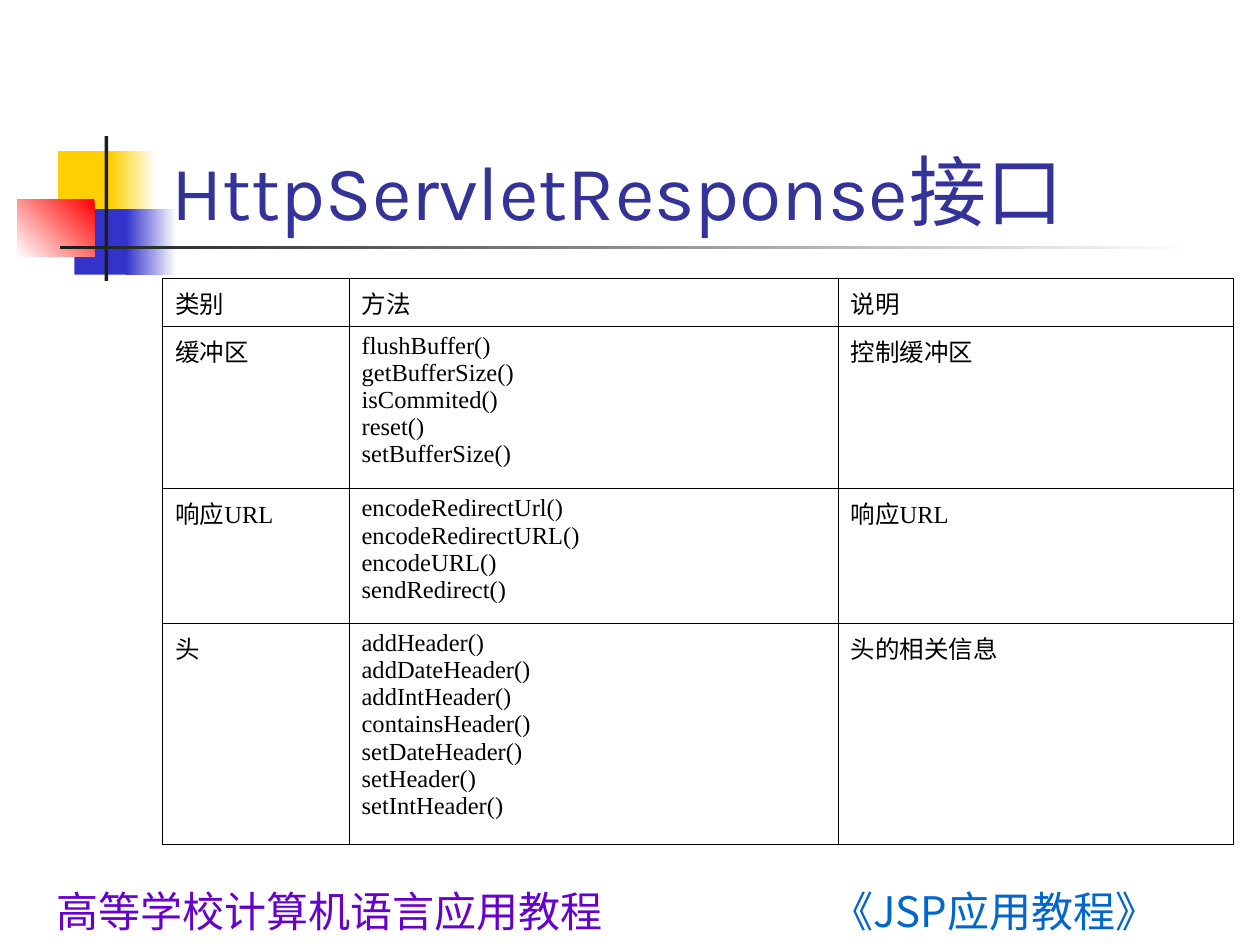
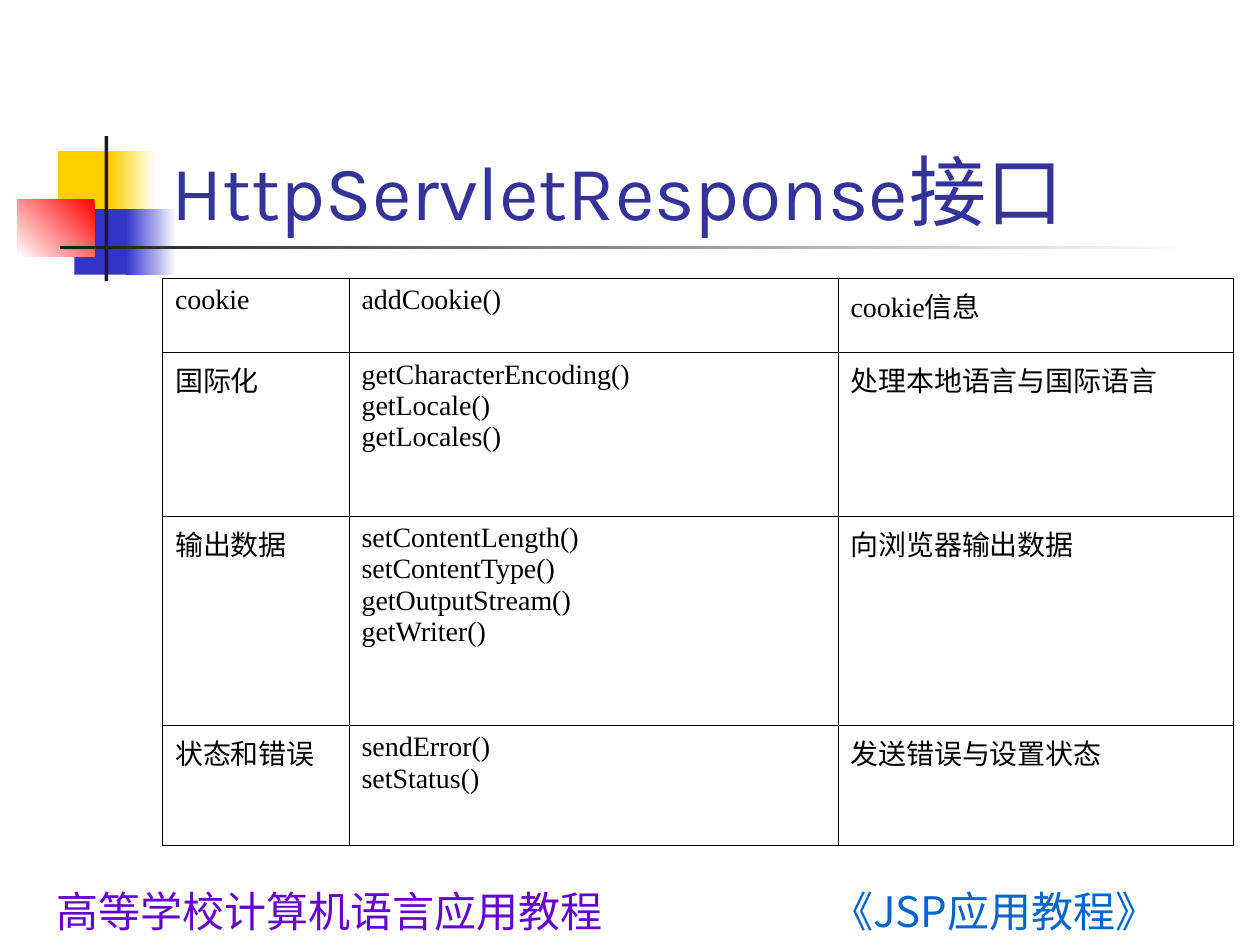
from dataclasses import dataclass

from lxml import etree
from pptx import Presentation
from pptx.dml.color import RGBColor
from pptx.enum.shapes import MSO_SHAPE
from pptx.enum.text import MSO_ANCHOR
from pptx.oxml.ns import qn
from pptx.util import Inches, Pt

RECTANGLE = MSO_SHAPE.RECTANGLE
ANCHOR_TOP = MSO_ANCHOR.TOP
ANCHOR_BOTTOM = MSO_ANCHOR.BOTTOM
BLANK_LAYOUT = 6


@dataclass(frozen=True)
class Theme:
    white: str = "FFFFFF"
    black: str = "000000"
    yellow: str = "FFCF01"
    blue: str = "3333CC"
    red: str = "FF0000"
    charcoal: str = "1C1C1C"
    title: str = "333399"
    book: str = "0066CC"
    book_outline: str = "99CCFF"
    series: tuple = ("6600CC", "CC00CC", 90)
    series_outline: str = "CC99FF"
    title_font: str = "Karla"
    table_font: str = "Times New Roman"
    chinese_font: str = "Noto Sans CJK SC"
    title_size: int = 44
    footer_size: int = 24
    border_width: float = 0.45


THEME = Theme()

# Left, top, width, height and fill of each part of the title ornament.
ORNAMENT = [
    (0.46, 1.2, 0.48, 0.52, THEME.yellow),
    (0.88, 1.2, 0.36, 0.52, (THEME.white, THEME.yellow, 180)),
    (0.59, 1.66, 0.46, 0.52, THEME.blue),
    (1, 1.66, 0.4, 0.52, (THEME.white, THEME.blue, 180)),
    (0.14, 1.58, 0.61, 0.46, (THEME.red, THEME.white, 135)),
    (0.83, 1.08, 0.03, 1.15, THEME.charcoal),
    (0.48, 1.95, 9, 0.03, (THEME.white, THEME.charcoal, 180)),
]

TITLE = "HttpServletResponse接口"
COLUMN_WIDTHS = [1.48, 3.88, 3.14]

BUFFER_METHODS = "flushBuffer()\ngetBufferSize()\nisCommited()\nreset()\nsetBufferSize()"
URL_METHODS = "encodeRedirectUrl()\nencodeRedirectURL()\nencodeURL()\nsendRedirect()"
HEADER_METHODS = (
    "addHeader()\naddDateHeader()\naddIntHeader()\ncontainsHeader()\n"
    "setDateHeader()\nsetHeader()\nsetIntHeader()"
)
LOCALE_METHODS = "getCharacterEncoding()\ngetLocale()\ngetLocales()"
OUTPUT_METHODS = "setContentLength()\nsetContentType()\ngetOutputStream()\ngetWriter()"

# Text size, row heights and rows of the table on each slide.
METHOD_TABLES = [
    (14, [0.38, 1.29, 1.07, 1.75], [
        ("类别", "方法", "说明"),
        ("缓冲区", BUFFER_METHODS, "控制缓冲区"),
        ("响应URL", URL_METHODS, "响应URL"),
        ("头", HEADER_METHODS, "头的相关信息"),
    ]),
    (16, [0.59, 1.3, 1.66, 0.95], [
        ("cookie", "addCookie()", "cookie信息"),
        ("国际化", LOCALE_METHODS, "处理本地语言与国际语言"),
        ("输出数据", OUTPUT_METHODS, "向浏览器输出数据"),
        ("状态和错误", "sendError()\nsetStatus()", "发送错误与设置状态"),
    ]),
]


def apply_fill(fill, paint):
    """Fill with a colour, or with a (start, end, clockwise angle) gradient."""
    if isinstance(paint, str):
        fill.solid()
        fill.fore_color.rgb = RGBColor.from_string(paint)
        return
    start, end, angle = paint
    fill.gradient()
    fill.gradient_angle = 360 - angle
    for stop, colour, position in zip(fill.gradient_stops, (start, end), (0, 1)):
        stop.color.rgb = RGBColor.from_string(colour)
        stop.position = position


def insert_line(properties, tag, colour, width, index):
    """Insert a solid line element, as used by text outlines and cell borders."""
    line = etree.Element(qn(tag), w=str(Pt(width)))
    solid = etree.SubElement(line, qn("a:solidFill"))
    etree.SubElement(solid, qn("a:srgbClr"), val=colour)
    properties.insert(index, line)


def write_text(text_frame, text, *, size, font, paint, outline=None, hanging=0):
    """Write one paragraph per line; outline is a (colour, width) pair."""
    text_frame.text = text
    for paragraph in text_frame.paragraphs:
        if hanging:
            paragraph_properties = paragraph._p.get_or_add_pPr()
            paragraph_properties.set("marL", str(Inches(hanging)))
            paragraph_properties.set("indent", str(-Inches(hanging)))
        for run in paragraph.runs:
            run.font.size = Pt(size)
            run.font.name = font
            apply_fill(run.font.fill, paint)
            run_properties = run._r.get_or_add_rPr()
            latin = run_properties.find(qn("a:latin"))
            east_asian = etree.Element(qn("a:ea"), typeface=THEME.chinese_font)
            latin.addnext(east_asian)
            if outline:
                insert_line(run_properties, "a:ln", *outline, index=0)


def add_text(slide, box, text, *, wrap=False, anchor=ANCHOR_TOP, **text_format):
    text_frame = slide.shapes.add_textbox(*map(Inches, box)).text_frame
    text_frame.word_wrap = wrap
    text_frame.vertical_anchor = anchor
    write_text(text_frame, text, **text_format)


def add_ornament(slide):
    for *box, paint in ORNAMENT:
        shape = slide.shapes.add_shape(RECTANGLE, *map(Inches, box))
        shape.shadow.inherit = False
        shape.line.fill.background()
        apply_fill(shape.fill, paint)


def add_footers(slide):
    footer_format = {"size": THEME.footer_size, "font": THEME.chinese_font}
    add_text(slide, (6.5, 6.98, 3.5, 0.28), "《JSP应用教程》", paint=THEME.book,
             outline=(THEME.book_outline, 1.5), **footer_format)
    add_text(slide, (0.35, 6.98, 5.04, 0.52), "高等学校计算机语言应用教程", paint=THEME.series,
             outline=(THEME.series_outline, 0.75), **footer_format)


def add_title(slide):
    add_text(slide, (1.26, 0.67, 8.52, 1.25), TITLE, wrap=True, anchor=ANCHOR_BOTTOM,
             size=THEME.title_size, font=THEME.title_font, paint=THEME.title)


def format_cell(cell):
    cell.fill.background()
    cell_properties = cell._tc.get_or_add_tcPr()
    for index, side in enumerate("LRTB"):
        insert_line(cell_properties, f"a:ln{side}", THEME.black, THEME.border_width, index)


def add_method_table(slide, size, row_heights, rows):
    box = (1.29, 2.21, sum(COLUMN_WIDTHS), sum(row_heights))
    frame = slide.shapes.add_table(len(rows), len(COLUMN_WIDTHS), *map(Inches, box))
    table = frame.table
    table.first_row = table.horz_banding = False
    for column, width in zip(table.columns, COLUMN_WIDTHS):
        column.width = Inches(width)
    for row, height, texts in zip(table.rows, row_heights, rows):
        row.height = Inches(height)
        for cell, text in zip(row.cells, texts):
            format_cell(cell)
            write_text(cell.text_frame, text, size=size, font=THEME.table_font,
                       paint=THEME.black, hanging=0.38)


def main():
    presentation = Presentation()
    presentation.slide_width = Inches(10)
    presentation.slide_height = Inches(7.5)
    for method_table in METHOD_TABLES:
        slide = presentation.slides.add_slide(presentation.slide_layouts[BLANK_LAYOUT])
        apply_fill(slide.background.fill, THEME.white)
        add_ornament(slide)
        add_footers(slide)
        add_title(slide)
        add_method_table(slide, *method_table)
    presentation.save("out.pptx")


if __name__ == "__main__":
    main()
